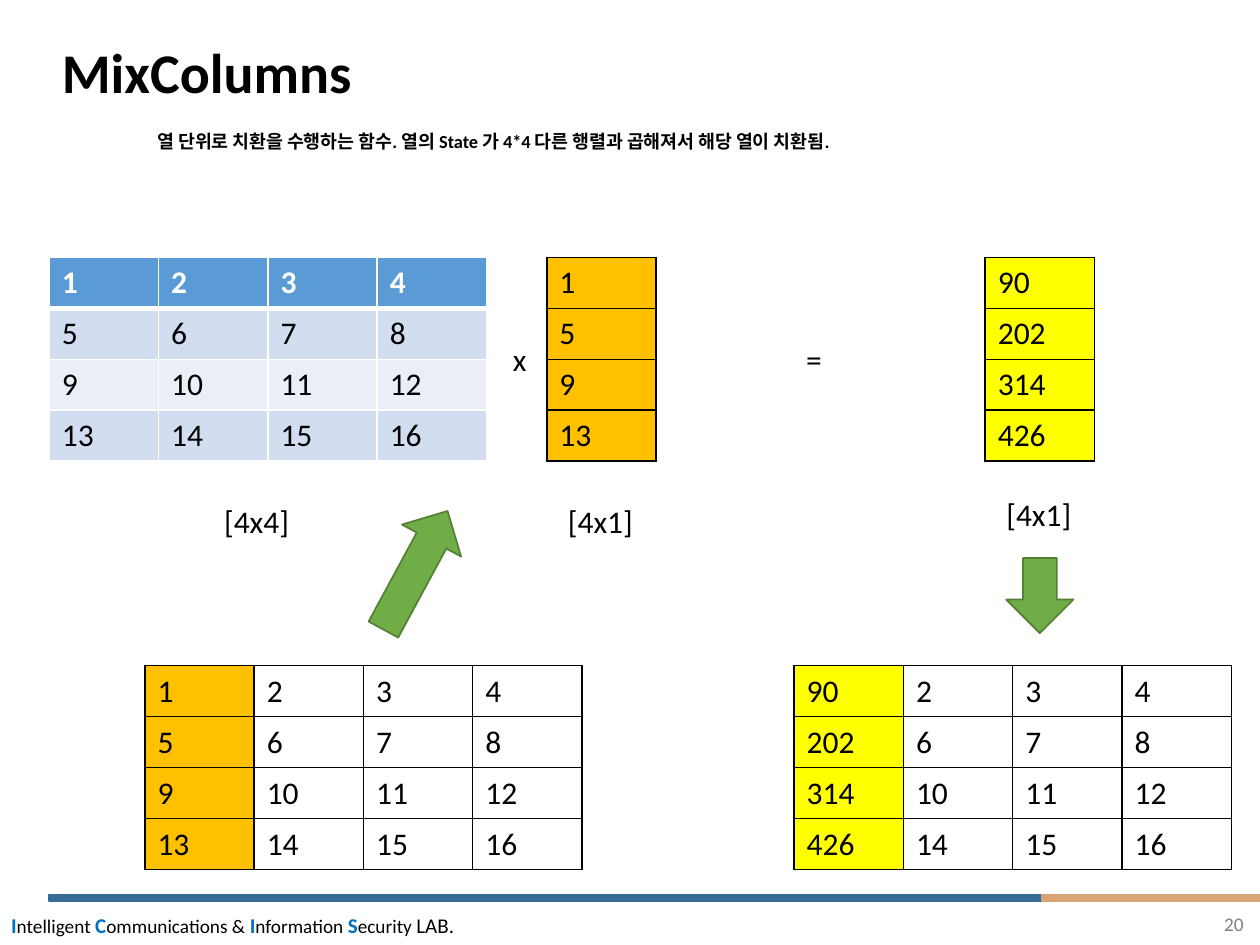
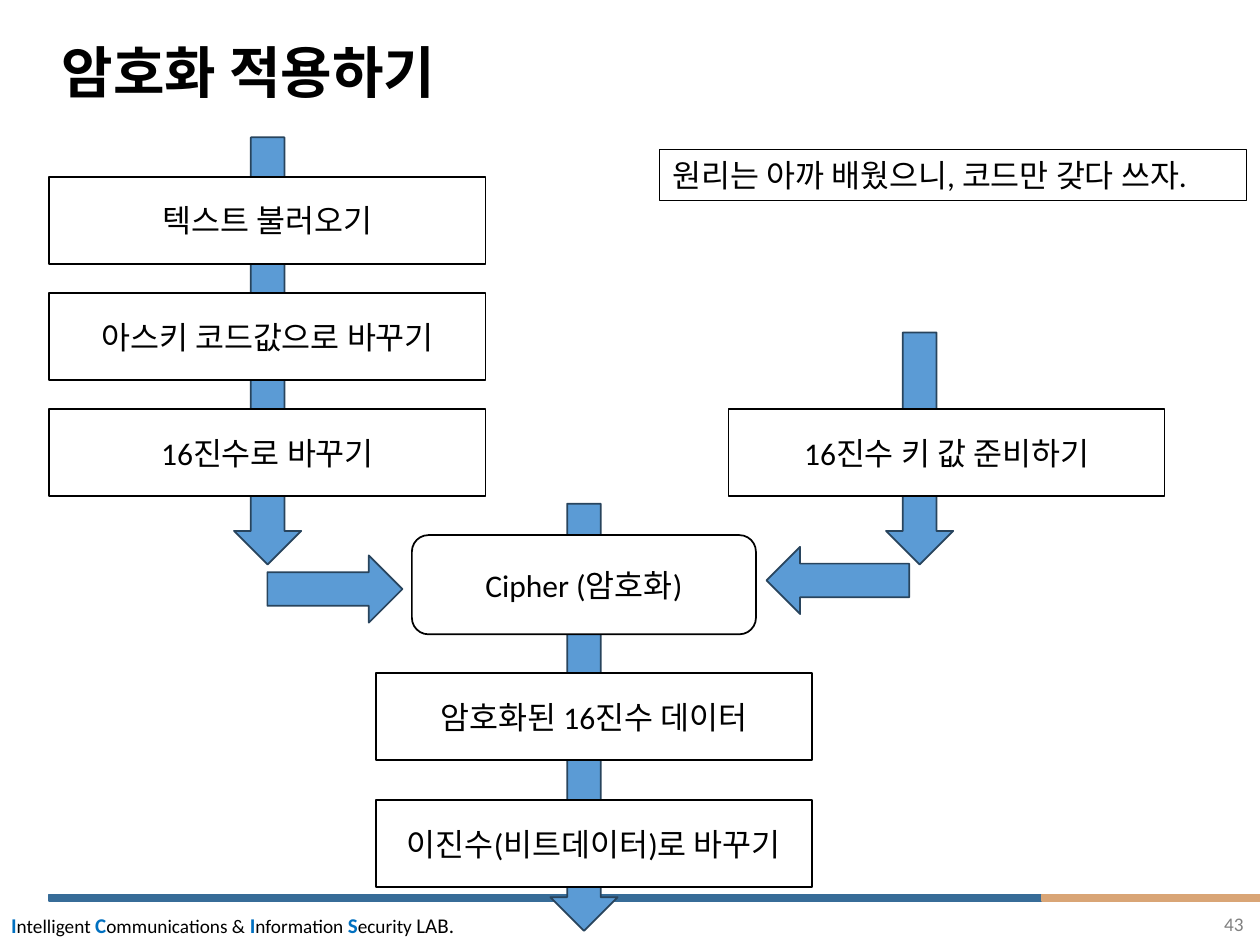
from pptx import Presentation
from pptx.dml.color import RGBColor
from pptx.enum import shapes, text
from pptx.oxml import parse_xml
from pptx.oxml.ns import nsdecls
from pptx.util import Pt

FONT = "Calibri"
BLACK = RGBColor(0x00, 0x00, 0x00)
WHITE = RGBColor(0xFF, 0xFF, 0xFF)
GRAY = RGBColor(0x80, 0x80, 0x80)
INITIAL = RGBColor(0x00, 0x70, 0xC0)
BAND_BLUE = RGBColor(0x37, 0x6C, 0x98)
BAND_TAN = RGBColor(0xD9, 0xA5, 0x76)
BLUE = RGBColor(0x5B, 0x9B, 0xD5)
BLUE_EDGE = RGBColor(0x28, 0x44, 0x5D)
GREEN = RGBColor(0x70, 0xAD, 0x47)
GREEN_EDGE = RGBColor(0x53, 0x80, 0x35)
BLUE_STRIPE = RGBColor(0xD2, 0xDE, 0xEF)
PALE_STRIPE = RGBColor(0xEA, 0xEF, 0xF7)
ORANGE = RGBColor(0xFF, 0xC0, 0x00)
YELLOW = RGBColor(0xFF, 0xFF, 0x00)

SHAPE = shapes.MSO_SHAPE
LEFT, CENTER, RIGHT = text.PP_ALIGN.LEFT, text.PP_ALIGN.CENTER, text.PP_ALIGN.RIGHT
CELL_WIDTH, CELL_HEIGHT = 62.46, 29.16
MARGIN = 28.2

LAB_NAME = [("I", "ntelligent "), ("C", "ommunications & "),
            ("I", "nformation "), ("S", "ecurity ")]

MATRIX = [[row * 4 + column + 1 for column in range(4)] for row in range(4)]
STATE = [row[:1] for row in MATRIX]
RESULT = [[90], [202], [314], [426]]
MIXED = [new + row[1:] for new, row in zip(RESULT, MATRIX)]

STATE_TABLES = [
    (563, 147, RESULT, YELLOW),
    (82.8, 380.4, MATRIX, ORANGE),
    (312.5, 147, STATE, ORANGE),
    (453.8, 380.4, MIXED, YELLOW),
]
MIX_SUMMARY = "열 단위로 치환을 수행하는 함수. 열의 State 가 4*4 다른 행렬과 곱해져서 해당 열이 치환됨."
MIX_LABELS = [
    ("[4x1]", 568, 279.4, 52), ("[4x4]", 121, 283.2, 52), ("[4x1]", 317.5, 283.2, 52),
    ("x", 286, 190.8, 40), ("=", 453.6, 190.8, 40),
]
MIX_ARROWS = [
    (SHAPE.UP_ARROW, 218.2, 287.4, 38.4, 77, 28.4),
    (SHAPE.DOWN_ARROW, 575, 318.8, 38.4, 43, 0),
]

FLOW_ARROWS = [
    (SHAPE.DOWN_ARROW, 506.3, 190, 38.4, 132.6),
    (SHAPE.DOWN_ARROW, 133.7, 78.5, 38.4, 244.1),
    (SHAPE.DOWN_ARROW, 314.5, 287.8, 38.4, 244.1),
    (SHAPE.RIGHT_ARROW, 152.8, 317.4, 77.2, 38.4),
    (SHAPE.LEFT_ARROW, 438, 312.5, 81.5, 38.4),
]
STEP_WIDTH, STEP_HEIGHT = 249.3, 49.8
FLOW_COLUMNS = [
    (MARGIN, 101, 66.35, ["텍스트 불러오기", "아스키 코드값으로 바꾸기", "16진수로 바꾸기"]),
    (416.2, 233.7, 0, ["16진수 키 값 준비하기"]),
    (214.7, 384.5, 72.6, ["암호화된 16진수 데이터", "이진수(비트데이터)로 바꾸기"]),
]
FLOW_NOTE = "원리는 아까 배웠으니, 코드만 갖다 쓰자."


def style_font(font, size, color=BLACK, bold=False):
    font.name, font.size, font.bold = FONT, Pt(size), bold
    font.color.rgb = color


def write(shape, words, size=18, color=BLACK, bold=False, align=LEFT):
    para = shape.text_frame.paragraphs[0]
    para.text = words
    para.alignment = align
    style_font(para.font, size, color, bold)
    return para


def add_text(slide, words, left, top, width, height, wrap=False, **style):
    box = slide.shapes.add_textbox(Pt(left), Pt(top), Pt(width), Pt(height))
    box.text_frame.word_wrap = wrap
    write(box, words, **style)
    return box


def add_block(slide, kind, left, top, width, height, fill, edge):
    block = slide.shapes.add_shape(kind, Pt(left), Pt(top), Pt(width), Pt(height))
    block.shadow.inherit = False
    block.fill.solid()
    block.fill.fore_color.rgb = fill
    block.line.color.rgb = edge
    block.line.width = Pt(1)
    return block


def add_step(slide, kind, words, left, top, width, height):
    step = add_block(slide, kind, left, top, width, height, WHITE, BLACK)
    step.text_frame.word_wrap = True
    step.text_frame.vertical_anchor = text.MSO_ANCHOR.MIDDLE
    write(step, words, align=CENTER)


def add_border(cell, side, color, width):
    cell._tc.get_or_add_tcPr().append(parse_xml(
        f'<a:ln{side} {nsdecls("a")} w="{Pt(width)}"><a:solidFill>'
        f'<a:srgbClr val="{color}"/></a:solidFill></a:ln{side}>'))


def add_grid(slide, left, top, rows, fill_at, border, header=False):
    columns = len(rows[0])
    grid = slide.shapes.add_table(
        len(rows), columns, Pt(left), Pt(top),
        Pt(CELL_WIDTH * columns), Pt(CELL_HEIGHT * len(rows))).table
    grid.first_row = grid.horz_banding = False
    for column in grid.columns:
        column.width = Pt(CELL_WIDTH)
    for r, values in enumerate(rows):
        grid.rows[r].height = Pt(CELL_HEIGHT)
        heading = header and r == 0
        for c, value in enumerate(values):
            cell = grid.cell(r, c)
            for side in "LRTB":
                thick = header and (r, side) in ((0, "B"), (1, "T"))
                add_border(cell, side, border, 3 if thick else 1)
            fill = fill_at(r, c)
            if fill is None:
                cell.fill.background()
            else:
                cell.fill.solid()
                cell.fill.fore_color.rgb = fill
            write(cell, str(value), color=WHITE if heading else BLACK, bold=heading)


def start_slide(deck):
    slide = deck.slides.add_slide(deck.slide_layouts[6])
    add_block(slide, SHAPE.RECTANGLE, MARGIN, 511.2, 571, 3.8, BAND_BLUE, BAND_BLUE)
    add_block(slide, SHAPE.RECTANGLE, 595.4, 511.2, 124.6, 3.8, BAND_TAN, BAND_TAN)
    footer = add_text(slide, "", -0.7, 517.7, 269.3, 21.6)
    para = footer.text_frame.paragraphs[0]
    pieces = []
    for initial, rest in LAB_NAME:
        pieces += [(initial, 12, INITIAL, True), (rest, 11, BLACK, False)]
    for words, size, color, bold in pieces + [("LAB.", 12, BLACK, False)]:
        span = para.add_run()
        span.text = words
        style_font(span.font, size, color, bold)
    return slide


def add_heading(slide, title, number):
    add_text(slide, str(number), 555.8, 517.7, 162, 28.8, wrap=True,
             size=11, color=GRAY, align=RIGHT)
    box = add_text(slide, title, MARGIN, 14.4, 663, 56.9, wrap=True, size=32, bold=True)
    box.text_frame.vertical_anchor = text.MSO_ANCHOR.MIDDLE
    box.text_frame.paragraphs[0].line_spacing = 0.9


def build_mix_columns(deck):
    slide = start_slide(deck)
    add_heading(slide, "MixColumns", 20)
    add_text(slide, MIX_SUMMARY, 82.8, 70.6, 431.3, 20, size=10.5, bold=True)
    stripes = [BLUE, BLUE_STRIPE, PALE_STRIPE, BLUE_STRIPE]
    add_grid(slide, MARGIN, 147, MATRIX, lambda r, c: stripes[r], WHITE, header=True)
    for left, top, rows, accent in STATE_TABLES:
        add_grid(slide, left, top, rows,
                 lambda r, c: accent if c == 0 else None, BLACK)
    for words, left, top, width in MIX_LABELS:
        add_text(slide, words, left, top, width, 29)
    for kind, left, top, width, height, angle in MIX_ARROWS:
        arrow = add_block(slide, kind, left, top, width, height, GREEN, GREEN_EDGE)
        arrow.rotation = angle


def build_encryption_flow(deck):
    slide = start_slide(deck)
    for arrow in FLOW_ARROWS:
        add_block(slide, *arrow, BLUE, BLUE_EDGE)
    add_heading(slide, "암호화 적용하기", 43)
    for left, top, pitch, steps in FLOW_COLUMNS:
        for index, words in enumerate(steps):
            add_step(slide, SHAPE.RECTANGLE, words, left, top + index * pitch,
                     STEP_WIDTH, STEP_HEIGHT)
    add_step(slide, SHAPE.ROUNDED_RECTANGLE, "Cipher (암호화)", 235.4, 305.8, 196.6, 56.7)
    note = add_text(slide, FLOW_NOTE, 377, 85.6, 335.5, 29)
    note.line.color.rgb = BLACK
    note.line.width = Pt(0.75)


def main():
    deck = Presentation()
    deck.slide_width, deck.slide_height = Pt(720), Pt(540)
    build_mix_columns(deck)
    build_encryption_flow(deck)
    deck.save("out.pptx")


if __name__ == "__main__":
    main()
